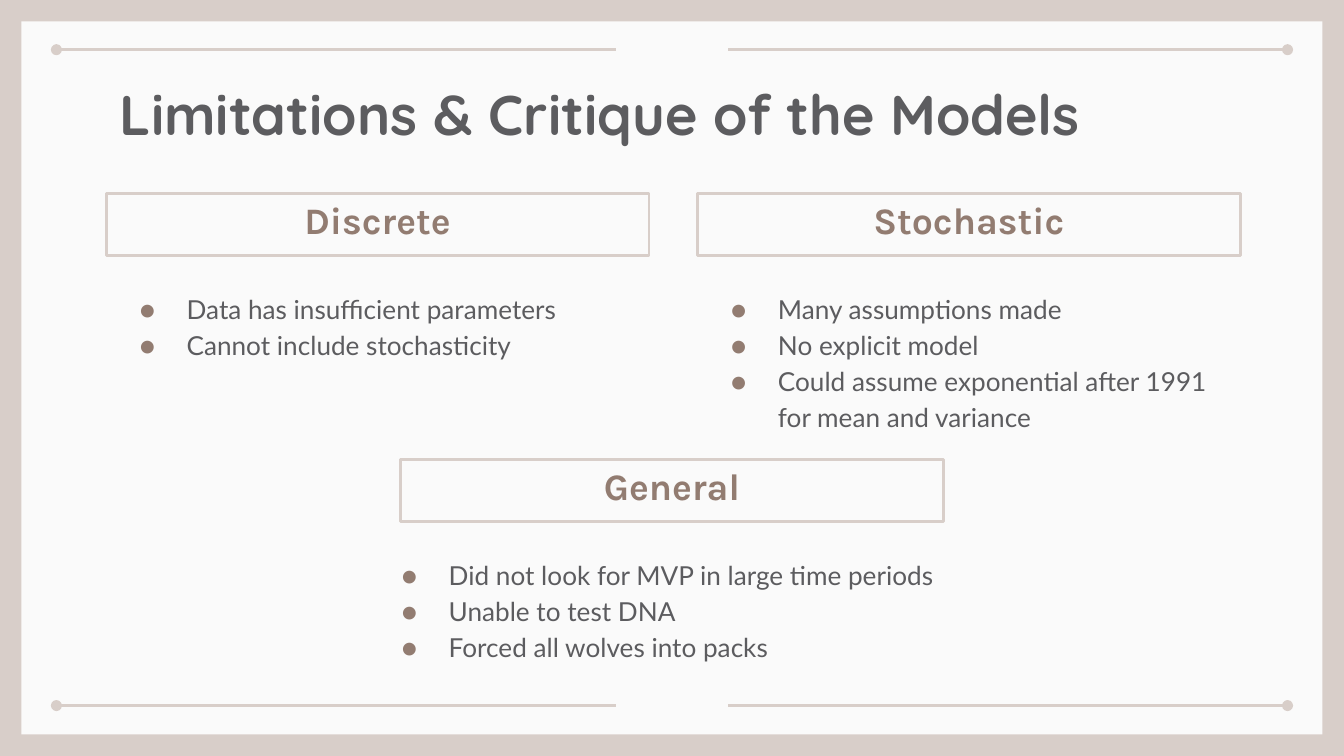
from typing import NamedTuple

from lxml.etree import SubElement
from pptx import Presentation
from pptx.dml.color import RGBColor
from pptx.enum.shapes import MSO_CONNECTOR, MSO_SHAPE
from pptx.enum.text import MSO_ANCHOR, MSO_AUTO_SIZE, PP_ALIGN
from pptx.oxml.ns import qn
from pptx.shapes.autoshape import Shape
from pptx.slide import Slide
from pptx.text.text import TextFrame
from pptx.util import Inches, Pt

SAND = RGBColor(0xD8, 0xCE, 0xC9)
PAPER = RGBColor(0xFA, 0xFA, 0xFA)
BROWN = RGBColor(0x92, 0x7C, 0x71)
GRAY = RGBColor(0x5C, 0x5C, 0x5F)

WIDTH = 10
HEIGHT = WIDTH * 9 / 16
BORDER = 0.16
HEADING_WIDTH, HEADING_HEIGHT = 4.04, 0.46
LIST_OFFSET = 0.61  # from the top of a heading to the top of its list


class Section(NamedTuple):
    heading: str
    left: float
    top: float
    list_left: float
    list_width: float
    list_height: float
    points: list[str]


class Rule(NamedTuple):
    left: float
    right: float
    dot_end: str


SECTIONS = [
    Section("Discrete", 0.79, 1.44, 0.79, 4.04, 1.08,
            ["Data has insufficient parameters", "Cannot include stochasticity"]),
    Section("Stochastic", 5.19, 1.44, 5.19, 4.04, 1.22,
            ["Many assumptions made", "No explicit model",
             "Could assume exponential after 1991 for mean and variance"]),
    Section("General", 2.98, 3.42, 2.74, 5.28, 1.08,
            ["Did not look for MVP in large time periods", "Unable to test DNA",
             "Forced all wolves into packs"]),
]
RULES = [Rule(0.42, 4.58, "headEnd"), Rule(5.42, 9.58, "tailEnd")]
RULE_TOPS = [0.37, 5.25]


def write(frame: TextFrame, lines: list[str], *, font: str, size: int, color: RGBColor,
          bold: bool = False, align: PP_ALIGN = PP_ALIGN.LEFT,
          anchor: MSO_ANCHOR = MSO_ANCHOR.TOP, bullets: bool = False) -> None:
    frame.word_wrap = True
    frame.auto_size = MSO_AUTO_SIZE.NONE
    frame.vertical_anchor = anchor
    frame.margin_left = frame.margin_right = Inches(0.1)
    frame.margin_top = frame.margin_bottom = Inches(0.1)
    for index, line in enumerate(lines):
        para = frame.add_paragraph() if index else frame.paragraphs[0]
        para.alignment = align
        span = para.add_run()
        span.text = line
        span.font.name = font
        span.font.size = Pt(size)
        span.font.bold = bold
        span.font.color.rgb = color
        if bullets:
            para.line_spacing = 1.15
            props = para._p.get_or_add_pPr()
            props.set("marL", str(Inches(0.5)))
            props.set("indent", str(Inches(-0.35)))
            bullet_color = SubElement(props, qn("a:buClr"))
            SubElement(bullet_color, qn("a:srgbClr"), val=str(BROWN))
            SubElement(props, qn("a:buSzPts"), val=str(size * 100))
            SubElement(props, qn("a:buFont"), typeface=font)
            SubElement(props, qn("a:buChar"), char="●")


def add_rectangle(page: Slide, left: float, top: float, width: float, height: float) -> Shape:
    box = page.shapes.add_shape(MSO_SHAPE.RECTANGLE, Inches(left), Inches(top),
                                Inches(width), Inches(height))
    box.shadow.inherit = False
    return box


def add_panel(page: Slide) -> None:
    panel = add_rectangle(page, BORDER, BORDER, WIDTH - 2 * BORDER, HEIGHT - 2 * BORDER)
    panel.fill.solid()
    panel.fill.fore_color.rgb = PAPER
    panel.line.fill.background()


def add_rule(page: Slide, rule: Rule, top: float) -> None:
    line = page.shapes.add_connector(MSO_CONNECTOR.STRAIGHT, Inches(rule.left), Inches(top),
                                     Inches(rule.right), Inches(top))
    line.line.color.rgb = SAND
    line.line.width = Pt(1.5)
    SubElement(line.line._get_or_add_ln(), qn(f"a:{rule.dot_end}"), type="oval")
    SubElement(line._element.spPr, qn("a:effectLst"))


def add_title(page: Slide, text: str) -> None:
    """Format the title placeholder and bring it in front of the panel."""
    title = page.shapes.title
    title.left, title.top = Inches(0.79), Inches(0.49)
    title.width, title.height = Inches(8.43), Inches(0.63)
    write(title.text_frame, [text], font="Quicksand", size=30, color=GRAY, bold=True)
    page.shapes[-1].element.addnext(title.element)


def add_section(page: Slide, section: Section) -> None:
    heading = add_rectangle(page, section.left, section.top, HEADING_WIDTH, HEADING_HEIGHT)
    heading.fill.background()
    heading.line.color.rgb = SAND
    heading.line.width = Pt(1.5)
    write(heading.text_frame, [section.heading], font="Karla", size=20, color=BROWN,
          bold=True, align=PP_ALIGN.CENTER, anchor=MSO_ANCHOR.BOTTOM)
    box = page.shapes.add_textbox(Inches(section.list_left), Inches(section.top + LIST_OFFSET),
                                  Inches(section.list_width), Inches(section.list_height))
    write(box.text_frame, section.points, font="Lato", size=14, color=GRAY, bullets=True)


def main() -> None:
    deck = Presentation()
    deck.slide_width, deck.slide_height = Inches(WIDTH), Inches(HEIGHT)
    page = deck.slides.add_slide(deck.slide_layouts.get_by_name("Title Only"))
    page.background.fill.solid()
    page.background.fill.fore_color.rgb = SAND
    add_panel(page)
    for top in RULE_TOPS:
        for rule in RULES:
            add_rule(page, rule, top)
    add_title(page, "Limitations & Critique of the Models")
    for section in SECTIONS:
        add_section(page, section)
    deck.save("out.pptx")


if __name__ == "__main__":
    main()
